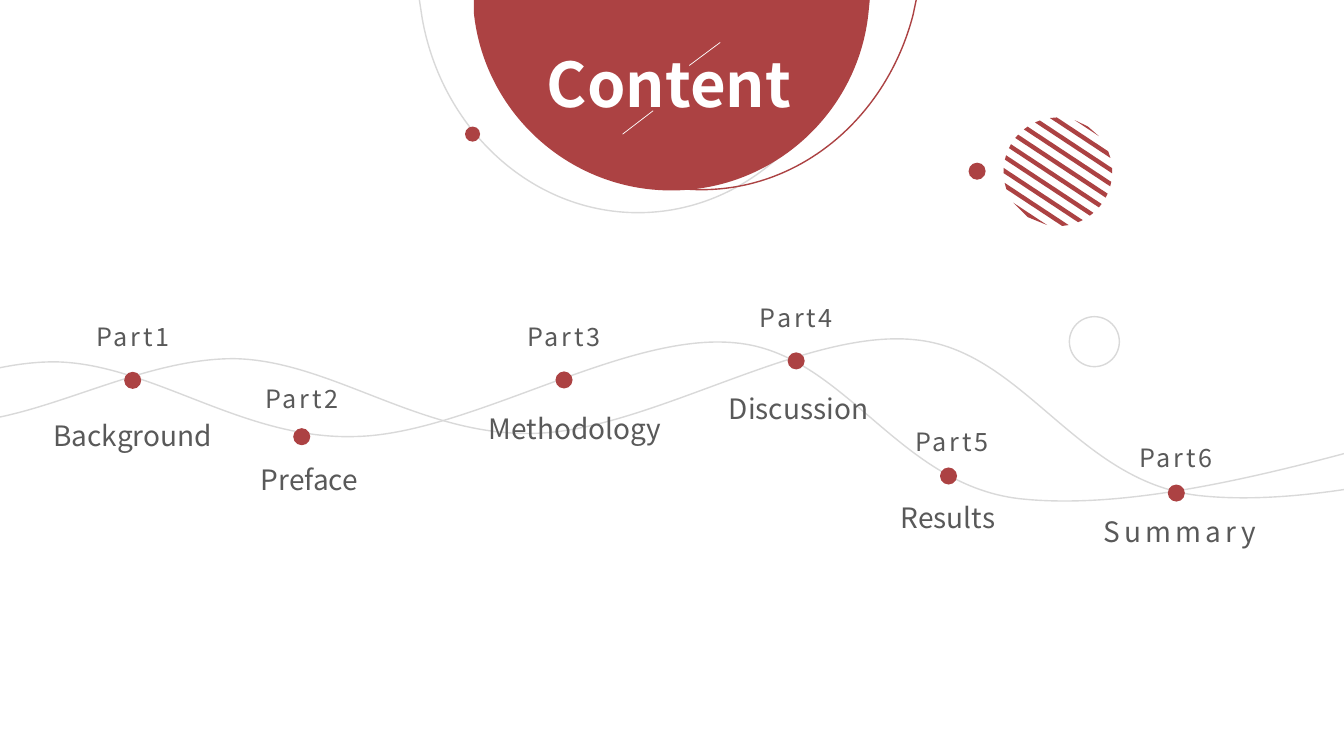
"""Build the Content slide: a title disc above two waves carrying six parts."""
from math import sqrt

from lxml import etree
from pptx import Presentation
from pptx.dml.color import RGBColor
from pptx.enum.shapes import MSO_CONNECTOR, MSO_SHAPE
from pptx.enum.text import MSO_AUTO_SIZE, PP_ALIGN
from pptx.oxml.ns import qn
from pptx.util import Cm, Pt

OVAL = MSO_SHAPE.OVAL
STRAIGHT = MSO_CONNECTOR.STRAIGHT
GROW = MSO_AUTO_SIZE.SHAPE_TO_FIT_TEXT
CENTER, LEFT = PP_ALIGN.CENTER, PP_ALIGN.LEFT
FONT = "Noto Sans CJK SC"
COLORS = {"red": "AC4243", "grey": "D9D9D9", "text": "595959", "white": "FFFFFF"}

prs = Presentation()
prs.slide_width, prs.slide_height = Cm(33.87), Cm(19.05)
s = prs.slides.add_slide(prs.slide_layouts[6])


def add_text(text, x, y, w, h, size=20, color="text", bold=False, spacing=0,
             align=CENTER, wrap=False, inset=(0.25, 0.13)):
    tb = s.shapes.add_textbox(Cm(x), Cm(y), Cm(w), Cm(h))
    tf = tb.text_frame
    tf.word_wrap, tf.auto_size = wrap, GROW
    tf.margin_left = tf.margin_right = Cm(inset[0])
    tf.margin_top = tf.margin_bottom = Cm(inset[1])
    p = tf.paragraphs[0]
    p.alignment = align
    r = p.add_run()
    r.text = text
    r.font.name, r.font.size, r.font.bold = FONT, Pt(size), bold
    r.font.color.rgb = RGBColor.from_string(COLORS[color])
    if spacing:
        r._r.get_or_add_rPr().set("spc", str(spacing * 100))


def paint(sp, fill=None, line=None):
    sp.shadow.inherit = False
    if fill:
        sp.fill.solid()
        sp.fill.fore_color.rgb = RGBColor.from_string(COLORS[fill])
    else:
        sp.fill.background()
    if line:
        sp.line.color.rgb = RGBColor.from_string(COLORS[line])
        sp.line.width = Pt(1)
    else:
        sp.line.fill.background()


wave = [(-6.86, 8.74), (-5.11, 9.65, -3.35, 10.59, -1.24, 10.64),
        (0.89, 10.69, 3.45, 9.02, 5.92, 9.04),
        (8.36, 9.09, 10.64, 11.02, 13.49, 10.92),
        (16.36, 10.85, 20.24, 8.28, 23.04, 8.56),
        (25.83, 8.81, 27.15, 12.22, 30.33, 12.5),
        (33.5, 12.8, 37.77, 11.56, 42.06, 10.31)]
grey_arc = [(21.59, 0), (21.54, 0.46), (21.03, 3.25, 18.77, 5.36, 16.08, 5.36),
            (13.39, 5.36, 11.13, 3.25, 10.64, 0.46), (10.57, 0)]
red_arc = [(23.09, 0), (23.01, 0.38), (22.35, 2.92, 20.22, 4.78, 17.68, 4.78),
           (15.16, 4.78, 13.03, 2.92, 12.34, 0.38), (12.27, 0)]
disc = [(11.94, 0), (21.92, 0), (21.89, 0.3), (21.64, 2.82, 19.51, 4.8, 16.92, 4.8),
        (14.33, 4.8, 12.19, 2.82, 11.94, 0.3)]
outlines = [(wave, 0, 0, None, "grey"), (wave, -4.51, 0.08, None, "grey"),
            (grey_arc, 0, 0, None, "grey"), (red_arc, 0, 0, None, "red"),
            (disc, 0, 0, "red", None)]
for steps, dx, dy, fill, line in outlines:
    ends = [(Cm(step[-2] + dx), Cm(step[-1] + dy)) for step in steps]
    fb = s.shapes.build_freeform(*ends[0])
    fb.add_line_segments(ends[1:], close=bool(fill))
    sp = fb.convert_to_shape()
    segments = list(sp._element.iter(qn("a:lnTo")))
    for segment, step in zip(segments, steps[1:]):
        if len(step) == 6:
            segment.tag = qn("a:cubicBezTo")
            for k in (0, 2):
                control = etree.Element(qn("a:pt"), x=str(Cm(step[k] + dx) - sp.left),
                                        y=str(Cm(step[k + 1] + dy) - sp.top))
                segment.insert(k // 2, control)
    paint(sp, fill, line)

BALL_X, BALL_Y, BALL_R = 26.66, 4.33, 1.37
STRIPES, PITCH, THICKNESS = 10, 0.3, 0.11
fb = None
for i in range(STRIPES):
    top = -1.43 + i * PITCH
    levels = [max(-BALL_R, min(BALL_R, y)) for y in (top, top + THICKNESS)]
    right = [(sqrt(BALL_R ** 2 - y ** 2), y) for y in levels]
    left = [(-x, y) for x, y in reversed(right)]
    points = [(Cm(BALL_X + x), Cm(BALL_Y + y)) for x, y in right + left]
    if fb is None:
        fb = s.shapes.build_freeform(*points[0])
    else:
        fb.move_to(*points[0])
    fb.add_line_segments(points[1:], close=True)
ball = fb.convert_to_shape()
ball.rotation = 33.4
paint(ball, "red")

for x, y, size, fill, line in [(24.41, 4.1, 0.43, "red", None),
                               (11.72, 3.19, 0.38, "red", None),
                               (26.95, 7.98, 1.26, "white", "grey")]:
    paint(s.shapes.add_shape(OVAL, Cm(x), Cm(y), Cm(size), Cm(size)), fill, line)

add_text("Content", 13.45, 1.02, 6.83, 2.13, size=44, color="white", bold=True)
for x1, y1, x2, y2 in [(15.69, 3.38, 16.46, 2.79), (17.37, 1.65, 18.15, 1.07)]:
    stroke = s.shapes.add_connector(STRAIGHT, Cm(x1), Cm(y1), Cm(x2), Cm(y2))
    stroke.line.color.rgb = RGBColor.from_string(COLORS["white"])
    stroke.line.width = Pt(0.5)
    etree.SubElement(stroke._element.spPr, qn("a:effectLst"))

DOT = 0.43
spaced = {"spacing": 3, "align": LEFT, "wrap": True, "inset": (0.33, 0.18)}
parts = [("Background", (2.12, 7.96), (3.13, 9.37), (1.06, 10.41, 4.57, 1.12), {}),
         ("Preface", (6.38, 9.53), (7.39, 10.79), (6.29, 11.53, 3.02, 1.12), {}),
         ("Methodology", (12.98, 7.96), (14, 9.36), (11.7, 10.24, 5.59, 1.12),
          {"wrap": True}),
         ("Discussion", (18.84, 7.49), (19.85, 8.88), (18.07, 9.73, 4.11, 1.12), {}),
         ("Results", (22.76, 10.62), (23.69, 11.78), (22.43, 12.48, 2.92, 1.12), {}),
         ("Summary", (28.4, 11.02), (29.43, 12.21), (27.48, 12.78, 4.78, 1.19), spaced)]
for number, (title, label, dot, box, style) in enumerate(parts, 1):
    add_text(f"Part{number}", *label, 2.46, 1.02, size=18, spacing=2)
    paint(s.shapes.add_shape(OVAL, Cm(dot[0]), Cm(dot[1]), Cm(DOT), Cm(DOT)), "red")
    add_text(title, *box, **style)

prs.save("out.pptx")
